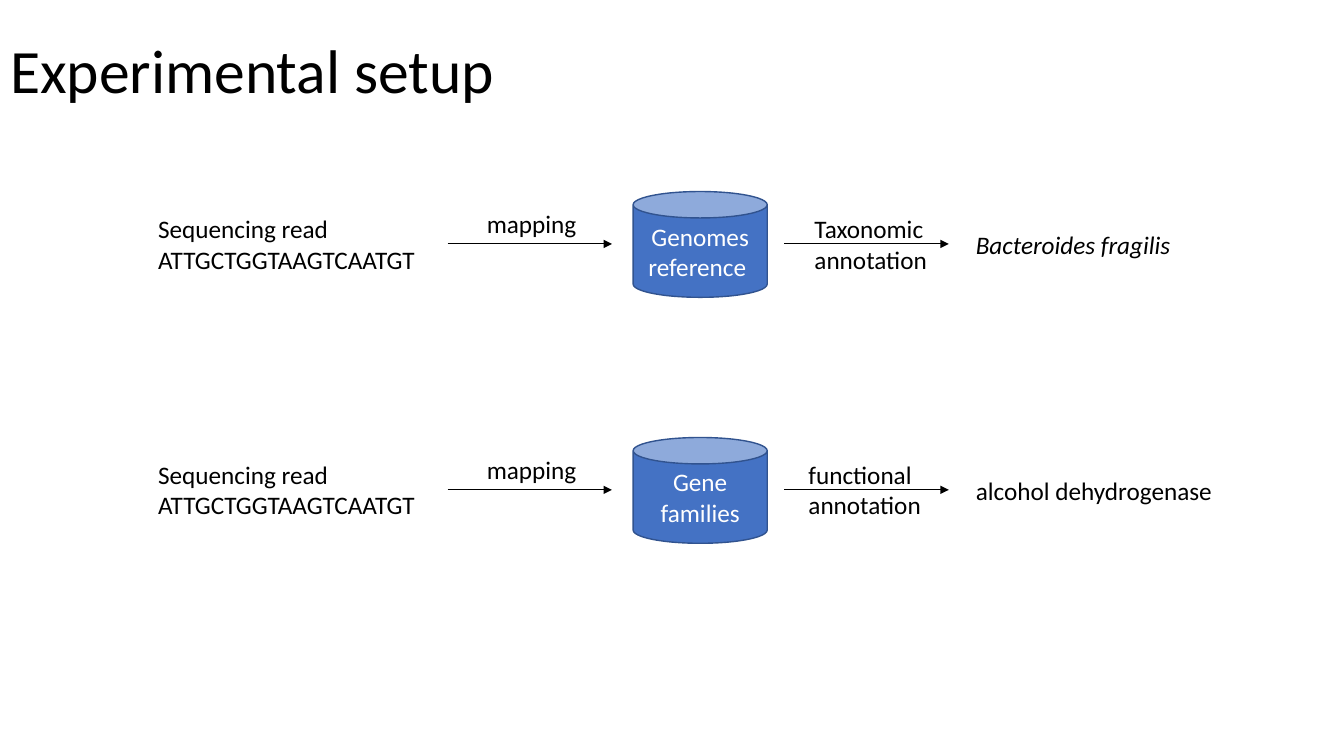
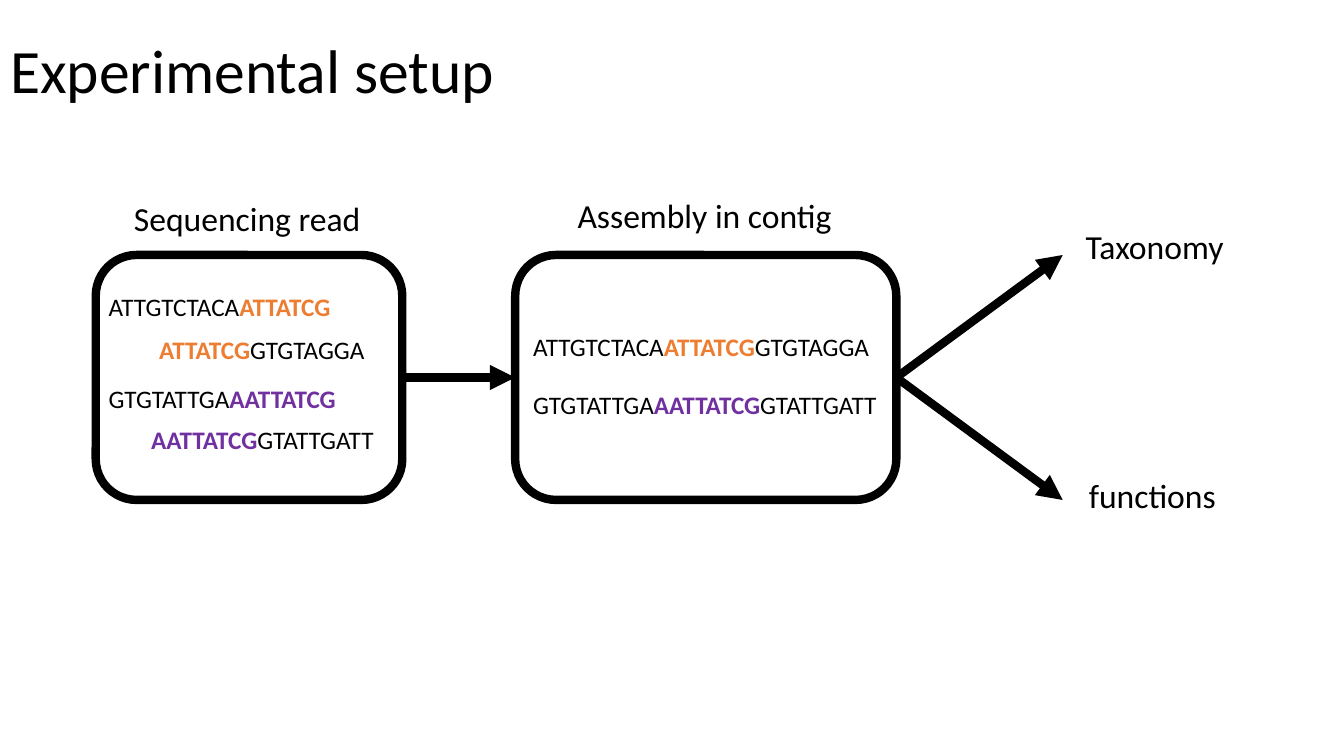
from lxml.etree import SubElement
from pptx import Presentation
from pptx.dml.color import RGBColor
from pptx.enum.shapes import MSO_CONNECTOR, MSO_SHAPE
from pptx.enum.text import MSO_ANCHOR, MSO_AUTO_SIZE, PP_ALIGN
from pptx.oxml.ns import qn
from pptx.util import Inches, Pt

COLORS = {
    "text": "000000",
    "paper": "FFFFFF",
    "database": "4472C4",
    "database_edge": "31538F",
    "orange": "ED7D31",
    "purple": "7030A0",
}


def rgb(name):
    return RGBColor.from_string(COLORS[name])


class Deck:
    """Shared style, the presentation and its current slide."""

    FONT = "Calibri"
    TITLE_SIZE, HEAD_SIZE, BODY_SIZE = 44, 24, 18

    def __init__(self):
        self.prs = Presentation()
        self.prs.slide_width, self.prs.slide_height = Inches(13.33), Inches(7.5)

    def add_slide(self, title):
        self.s = self.prs.slides.add_slide(self.prs.slide_layouts[5])
        sp = self.s.shapes.title
        box = {"left": 0, "top": 0, "width": 11.5, "height": 1.45}
        for name, value in box.items():
            setattr(sp, name, Inches(value))
        self.set_lines(sp.text_frame, [title], self.TITLE_SIZE, anchor=MSO_ANCHOR.MIDDLE)
        sp.text_frame.paragraphs[0].line_spacing = 0.9

    def set_lines(self, tf, lines, size, color="text", align=PP_ALIGN.LEFT,
                  anchor=MSO_ANCHOR.TOP, auto_size=MSO_AUTO_SIZE.NONE, italic=False):
        """Each line is a string or a list of (text, highlight colour or None)."""
        frame = {"word_wrap": True, "auto_size": auto_size, "vertical_anchor": anchor}
        for name, value in frame.items():
            setattr(tf, name, value)
        for i, line in enumerate(lines):
            p = tf.paragraphs[0] if i == 0 else tf.add_paragraph()
            p.alignment = align
            for text, highlight in [(line, None)] if isinstance(line, str) else line:
                r = p.add_run()
                r.text = text
                font = {"name": self.FONT, "size": Pt(size),
                        "bold": bool(highlight), "italic": italic}
                for name, value in font.items():
                    setattr(r.font, name, value)
                r.font.color.rgb = rgb(highlight or color)

    def text(self, x, y, w, h, *lines, size=BODY_SIZE, italic=False):
        sp = self.s.shapes.add_textbox(Inches(x), Inches(y), Inches(w), Inches(h))
        self.set_lines(sp.text_frame, lines, size, italic=italic,
                       auto_size=MSO_AUTO_SIZE.SHAPE_TO_FIT_TEXT)

    def heading(self, x, y, w, line):
        self.text(x, y, w, 0.5, line, size=self.HEAD_SIZE)

    def shape(self, kind, x, y, w, h, fill, edge, weight):
        sp = self.s.shapes.add_shape(kind, Inches(x), Inches(y), Inches(w), Inches(h))
        sp.shadow.inherit = False
        sp.fill.solid()
        sp.fill.fore_color.rgb = rgb(fill)
        sp.line.color.rgb = rgb(edge)
        sp.line.width = Pt(weight)
        return sp

    def database(self, x, y, *lines):
        sp = self.shape(MSO_SHAPE.CAN, x, y, 1.33, 1.05, "database", "database_edge", 1)
        self.set_lines(sp.text_frame, lines, self.BODY_SIZE, "paper",
                       PP_ALIGN.CENTER, MSO_ANCHOR.MIDDLE)

    def panel(self, x, y, w, h):
        return self.shape(MSO_SHAPE.ROUNDED_RECTANGLE, x, y, w, h, "paper", "text", 6)

    def arrow(self, x1, y1, x2, y2, weight=0.75, begin=None, end=None):
        line = self.s.shapes.add_connector(
            MSO_CONNECTOR.STRAIGHT, Inches(x1), Inches(y1), Inches(x2), Inches(y2))
        if begin:
            line.begin_connect(begin, 3)
        if end:
            line.end_connect(end, 1)
        line.line.color.rgb = rgb("text")
        line.line.width = Pt(weight)
        properties = line._element.spPr
        SubElement(properties.get_or_add_ln(), qn("a:tailEnd"), type="triangle")
        SubElement(properties, qn("a:effectLst"))


def build_mapping(deck):
    deck.add_slide("Experimental setup")
    rows = [
        (["Genomes", "reference "], 7.98, "Taxonomic annotation",
         "Bacteroides fragilis", True),
        (["Gene families"], 7.92, "functional annotation",
         "alcohol dehydrogenase", False),
    ]
    for i, (database, step_x, step, result, italic) in enumerate(rows):
        y = 1.9 + 2.44 * i
        deck.text(1.47, y + 0.17, 2.81, 0.71, "Sequencing read", "ATTGCTGGTAAGTCAATGT")
        deck.database(6.28, y, *database)
        for x in (4.44, 7.78):
            deck.arrow(x, y + 0.52, x + 1.63, y + 0.52)
        deck.text(4.73, y + 0.12, 1.1, 0.4, "mapping")
        deck.text(step_x, y + 0.17, 1.33, 0.71, step)
        deck.text(9.58, y + 0.33, 2.57, 0.4, result, italic=italic)


def build_assembly(deck):
    deck.add_slide("Experimental setup")
    top, height = 2.53, 2.43
    middle = top + height / 2
    reads = deck.panel(0.95, top, 3.04, height)
    contigs = deck.panel(5.11, top, 3.78, height)
    deck.heading(1.23, 1.91, 2.48, "Sequencing read")
    deck.heading(5.63, 1.88, 2.82, "Assembly in contig")

    # Two overlapping reads and the contig they make
    sequences = [
        ("ATTGTCTACA", ("ATTATCG", "orange"), "GTGTAGGA", 2.84, 1.48, 3.27, 3.24),
        ("GTGTATTGA", ("AATTATCG", "purple"), "GTATTGATT", 3.75, 1.4, 4.16, 3.81),
    ]
    for start, overlap, end, first_y, second_x, second_y, contig_y in sequences:
        head, tail = (start, None), (end, None)
        deck.text(0.98, first_y, 2.51, 0.4, [head, overlap])
        deck.text(second_x, second_y, 2.51, 0.4, [overlap, tail])
        deck.text(5.19, contig_y, 3.7, 0.4, [head, overlap, tail])

    # Flow from reads to contigs to results
    deck.arrow(3.99, middle, 5.11, middle, 6, reads, contigs)
    for y in (top, top + height):
        deck.arrow(8.89, middle, 10.54, y, 6, contigs)
    deck.heading(10.67, 2.19, 1.65, "Taxonomy")
    deck.heading(10.7, 4.66, 1.65, "functions")


def main():
    deck = Deck()
    build_mapping(deck)
    build_assembly(deck)
    deck.prs.save("out.pptx")


if __name__ == "__main__":
    main()
